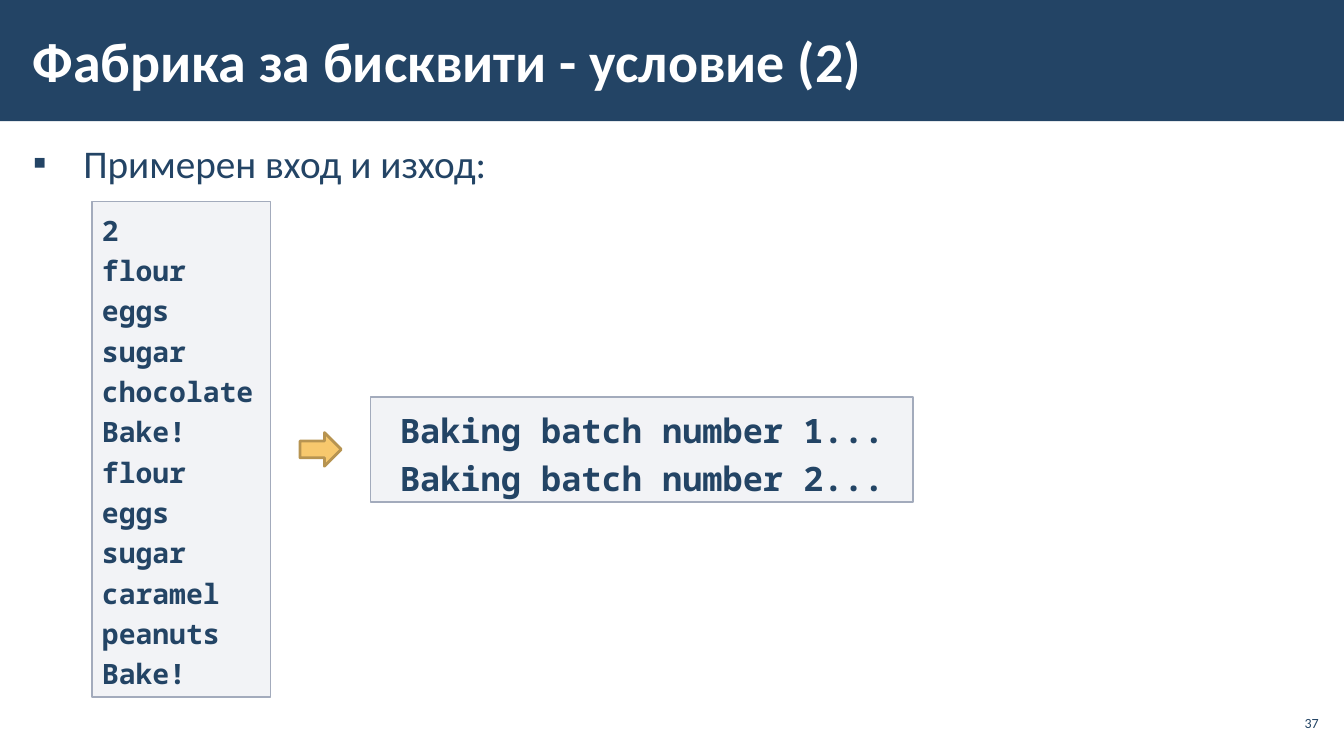
from lxml.etree import SubElement
from pptx import Presentation
from pptx.dml.color import RGBColor
from pptx.enum.shapes import MSO_SHAPE
from pptx.enum.text import MSO_ANCHOR, MSO_AUTO_SIZE, PP_ALIGN
from pptx.oxml.ns import qn
from pptx.util import Pt

COLORS = {
    "navy": "234465",
    "white": "FFFFFF",
    "panel": "C2C7D2",
    "panel_line": "A3ABBC",
    "arrow": "F7C86D",
    "arrow_line": "B79451",
}
INPUT = ["2", "flour", "eggs", "sugar", "chocolate", "Bake!",
         "flour", "eggs", "sugar", "caramel", "peanuts", "Bake!"]
OUTPUT = [f"Baking batch number {n}..." for n in (1, 2)]


def rgb(name):
    """Return the palette colour called name."""
    return RGBColor.from_string(COLORS[name])


def add_run(p, text, size, color="navy", font="Calibri", bold=False):
    """Append one formatted run to a paragraph."""
    r = p.add_run()
    r.text = text
    r.font.name = font
    r.font.size = Pt(size)
    r.font.bold = bold
    r.font.color.rgb = rgb(color)


def add_shape(s, kind, box, fill, line=None, width=1):
    """Draw a flat preset shape in box."""
    sp = s.shapes.add_shape(kind, *map(Pt, box))
    sp.shadow.inherit = False
    sp.fill.solid()
    sp.fill.fore_color.rgb = rgb(fill)
    if line:
        sp.line.color.rgb = rgb(line)
        sp.line.width = Pt(width)
    else:
        sp.line.fill.background()
    return sp


def add_text(s, box, inset, anchor=MSO_ANCHOR.TOP):
    """Add a wrapping text box and return its first paragraph."""
    tf = s.shapes.add_textbox(*map(Pt, box)).text_frame
    tf.word_wrap = True
    tf.auto_size = MSO_AUTO_SIZE.NONE
    tf.vertical_anchor = anchor
    tf.margin_left = tf.margin_right = Pt(inset)
    tf.margin_top = tf.margin_bottom = Pt(3)
    return tf.paragraphs[0]


def add_header(s, box, title):
    """Fill box with the title band."""
    x, y, w, h = box
    add_shape(s, MSO_SHAPE.RECTANGLE, box, "navy")
    p = add_text(s, (x + 15, y + 8, w - 212, h - 16), 8.5, MSO_ANCHOR.MIDDLE)
    add_run(p, title, 40, "white", bold=True)


def add_bullet(s, box, text):
    """Write the square-bulleted line at the top of box."""
    p = add_text(s, box, 8.5)
    p.line_spacing = 1.05
    p.space_before = p.space_after = Pt(6)
    pPr = p._p.get_or_add_pPr()
    pPr.set("marL", str(Pt(36)))
    pPr.set("indent", str(-Pt(36)))
    SubElement(pPr, qn("a:buFont"), typeface="Arial")
    SubElement(pPr, qn("a:buChar"), char="▪")
    add_run(p, text, 28)


def add_code(s, box, lines, size, align):
    """Fill box with a translucent panel of code lines."""
    sp = add_shape(s, MSO_SHAPE.RECTANGLE, box, "panel", "panel_line")
    color = sp.fill._xPr.find(qn("a:solidFill"))[0]
    SubElement(color, qn("a:alpha"), val="20000")
    tf = sp.text_frame
    tf.word_wrap = True
    tf.auto_size = MSO_AUTO_SIZE.SHAPE_TO_FIT_TEXT
    tf.vertical_anchor = MSO_ANCHOR.TOP
    for i, line in enumerate(lines):
        p = tf.add_paragraph() if i else tf.paragraphs[0]
        p.alignment = align
        p.line_spacing = 1.2
        add_run(p, line, size, font="Noto Sans Mono", bold=True)


def add_example(s, box):
    """Place the input, arrow and output in box, centred on one axis."""
    x, y, w, h = box
    mid = y + h / 2
    add_code(s, (x, y, 127.5, h), INPUT, 20, PP_ALIGN.LEFT)
    add_shape(s, MSO_SHAPE.RIGHT_ARROW, (x + 148.5, mid - 12, 29.5, 24),
              "arrow", "arrow_line", 2)
    add_code(s, (x + w - 387.5, mid - 37.5, 387.5, 75), OUTPUT, 24, PP_ALIGN.CENTER)


def add_page_number(s, box, number):
    """Write the page number at the right of box."""
    p = add_text(s, box, 3, MSO_ANCHOR.MIDDLE)
    p.alignment = PP_ALIGN.RIGHT
    add_run(p, number, 10)


def main():
    """Build and save the slide."""
    prs = Presentation()
    prs.slide_width, prs.slide_height = Pt(960), Pt(540)
    s = prs.slides.add_slide(prs.slide_layouts[6])
    add_header(s, (0, 0, 960, 86.5), "Фабрика за бисквити - условие (2)")
    add_bullet(s, (15, 94.5, 930, 410), "Примерен вход и изход:")
    add_example(s, (65.75, 144, 586.5, 354))
    add_page_number(s, (911, 504, 34, 24.5), "37")
    prs.save("out.pptx")


if __name__ == "__main__":
    main()
